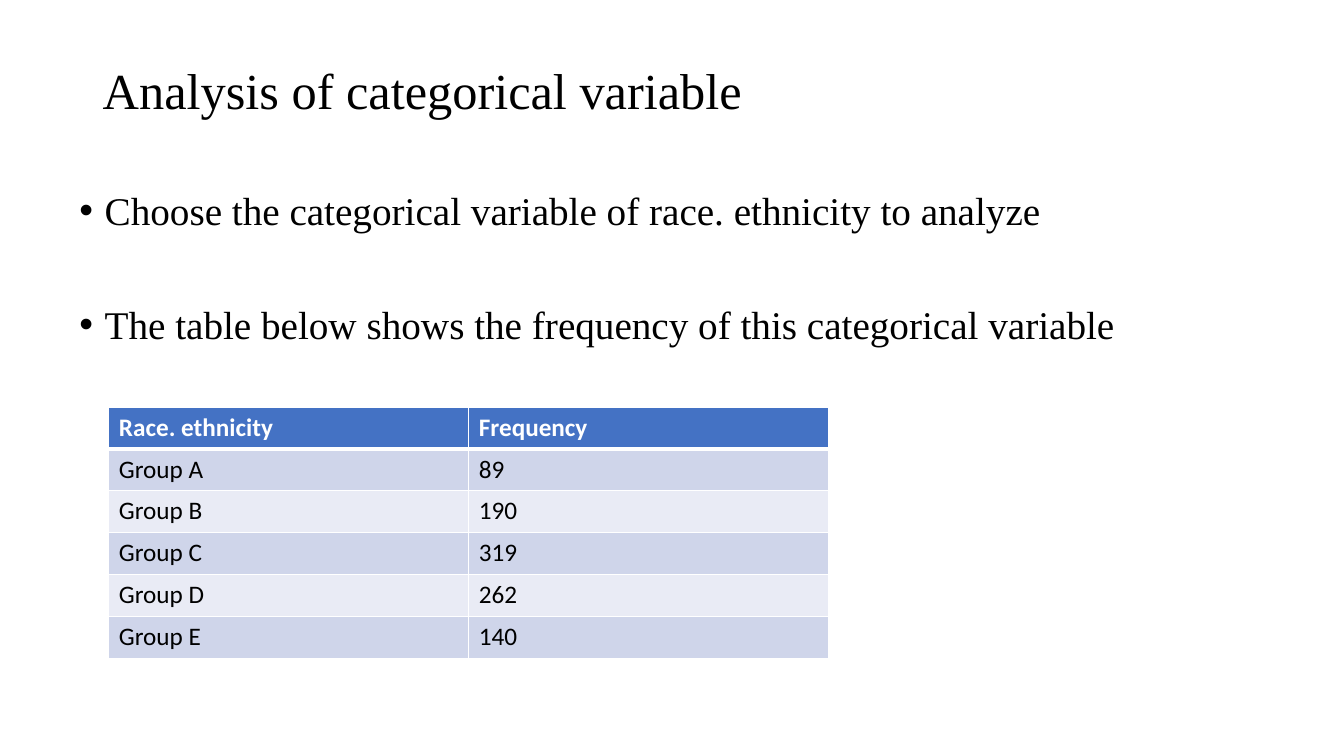
from lxml import etree
from pptx import Presentation
from pptx.dml.color import RGBColor
from pptx.enum.text import MSO_ANCHOR
from pptx.oxml.ns import qn
from pptx.util import Inches, Pt

BLACK = RGBColor(0x00, 0x00, 0x00)
WHITE = RGBColor(0xFF, 0xFF, 0xFF)
HEADER_BLUE = RGBColor(0x44, 0x72, 0xC4)
BAND_DARK = RGBColor(0xCF, 0xD5, 0xEA)
BAND_LIGHT = RGBColor(0xE9, 0xEB, 0xF5)
SERIF = "Times New Roman"


def write(paragraph, text, size=18, font="Calibri", color=BLACK, bold=False,
          line_spacing=1.0, space_before=0, bullet=False):
    if bullet:
        properties = paragraph._p.get_or_add_pPr()
        properties.set("marL", str(Inches(0.25)))
        properties.set("indent", str(Inches(-0.25)))
        etree.SubElement(properties, qn("a:buFont")).set("typeface", "Arial")
        etree.SubElement(properties, qn("a:buChar")).set("char", "•")
    paragraph.line_spacing = line_spacing
    paragraph.space_before = Pt(space_before)
    run = paragraph.add_run()
    run.text = text
    run.font.size = Pt(size)
    run.font.name = font
    run.font.color.rgb = color
    run.font.bold = bold


def add_border(cell, side, width):
    line = etree.SubElement(cell._tc.get_or_add_tcPr(), qn(f"a:{side}"))
    line.set("w", str(Pt(width)))
    fill = etree.SubElement(line, qn("a:solidFill"))
    etree.SubElement(fill, qn("a:srgbClr")).set("val", str(WHITE))


presentation = Presentation()
presentation.slide_width = Inches(13.33)
presentation.slide_height = Inches(7.5)
slide = presentation.slides.add_slide(presentation.slide_layouts[6])

# Title
title = slide.shapes.add_textbox(Inches(0.92), Inches(0.2), Inches(11.5), Inches(1.45))
title.text_frame.word_wrap = True
title.text_frame.vertical_anchor = MSO_ANCHOR.MIDDLE
write(title.text_frame.paragraphs[0], "Analysis of categorical variable",
      size=36, font=SERIF, line_spacing=0.9)

# Bullets
body = slide.shapes.add_textbox(Inches(0.69), Inches(1.85), Inches(11.96), Inches(5.11))
body.text_frame.word_wrap = True
bullets = [
    "Choose the categorical variable of race. ethnicity to analyze",
    "The table below shows the frequency of this categorical variable",
]
for index, text in enumerate(bullets):
    paragraph = body.text_frame.add_paragraph() if index else body.text_frame.paragraphs[0]
    write(paragraph, text, size=28, font=SERIF, line_spacing=0.9,
          space_before=51 if index else 0, bullet=True)

# Frequency table
rows = [
    ("Race. ethnicity", "Frequency"),
    ("Group A", "89"),
    ("Group B", "190"),
    ("Group C", "319"),
    ("Group D", "262"),
    ("Group E", "140"),
]
table = slide.shapes.add_table(len(rows), 2, Inches(1.08), Inches(4.04),
                               Inches(7.14), Inches(2.49)).table
for row_index, row in enumerate(rows):
    header = row_index == 0
    band = BAND_DARK if row_index % 2 else BAND_LIGHT
    for column_index, text in enumerate(row):
        cell = table.cell(row_index, column_index)
        write(cell.text_frame.paragraphs[0], text,
              color=WHITE if header else BLACK, bold=header)
        for side in ("lnL", "lnR"):
            add_border(cell, side, 1)
        add_border(cell, "lnT", 3 if row_index == 1 else 1)
        add_border(cell, "lnB", 3 if header else 1)
        cell.fill.solid()
        cell.fill.fore_color.rgb = HEADER_BLUE if header else band

presentation.save("out.pptx")
